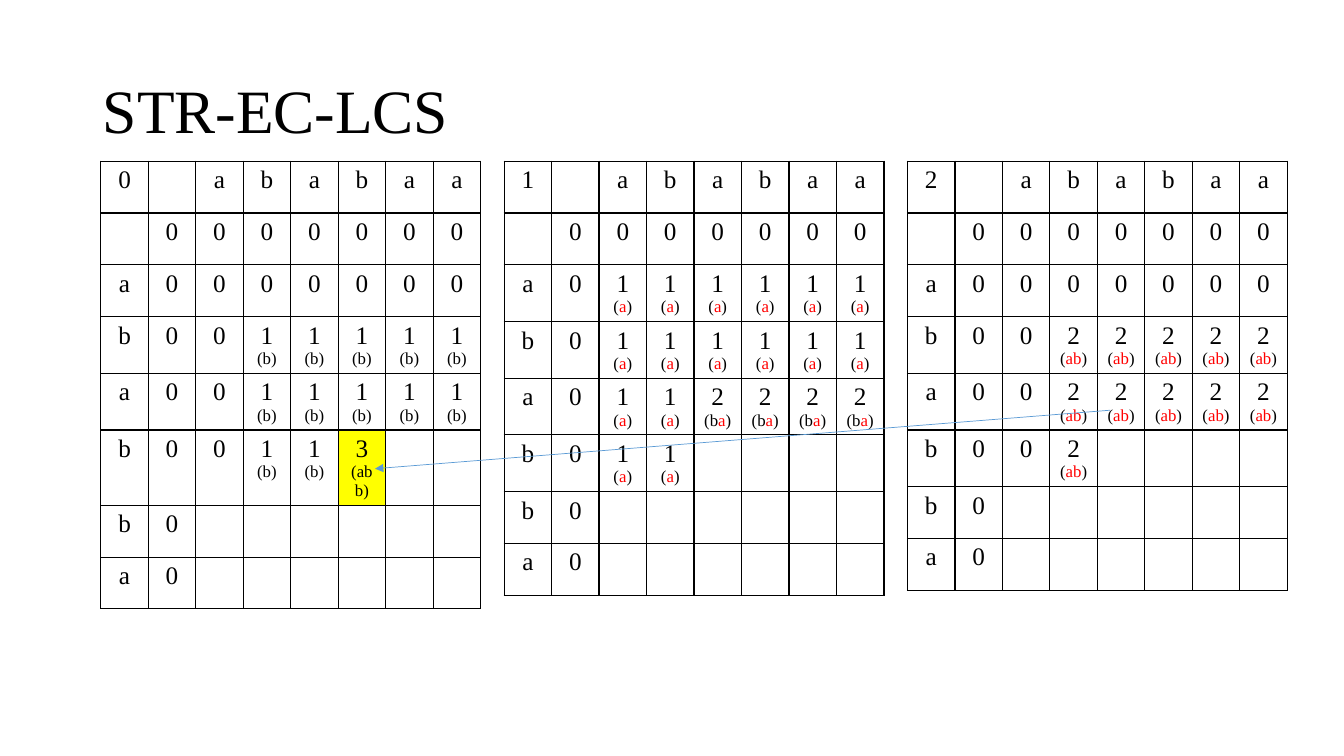
from lxml.etree import SubElement
from pptx import Presentation
from pptx.dml.color import RGBColor
from pptx.enum.shapes import MSO_CONNECTOR as Connector
from pptx.enum.text import MSO_ANCHOR as Anchor, PP_ALIGN as Align
from pptx.oxml import parse_xml
from pptx.oxml.ns import nsdecls, qn
from pptx.util import Inches, Pt

FONT = "Times New Roman"
BLACK, RED, YELLOW, BLUE = "000000", "FF0000", "FFFF00", "5B9BD5"
COLUMNS = 8
ROW_HEIGHT = Pt(37)
HEADER = ". a b a b a a"
ZEROS = ". 0 0 0 0 0 0 0"
TAIL = ["b 0", "a 0"]
# Cell code: score:plain|red, with a dot for an empty cell.
LAYERS = [
    ["0 " + HEADER, ZEROS, "a 0 0 0 0 0 0 0",
     "b 0 0 1:b 1:b 1:b 1:b 1:b",
     "a 0 0 1:b 1:b 1:b 1:b 1:b",
     "b 0 0 1:b 1:b 3:abb"] + TAIL,
    ["1 " + HEADER, ZEROS,
     "a 0 1:|a 1:|a 1:|a 1:|a 1:|a 1:|a",
     "b 0 1:|a 1:|a 1:|a 1:|a 1:|a 1:|a",
     "a 0 1:|a 1:|a 2:b|a 2:b|a 2:b|a 2:b|a",
     "b 0 1:|a 1:|a"] + TAIL,
    ["2 " + HEADER, ZEROS, "a 0 0 0 0 0 0 0",
     "b 0 0 2:|ab 2:|ab 2:|ab 2:|ab 2:|ab",
     "a 0 0 2:|ab 2:|ab 2:|ab 2:|ab 2:|ab",
     "b 0 0 2:|ab"] + TAIL,
]


def color(value):
    return RGBColor.from_string(value)


def format_paragraph(paragraph, size, align=Align.CENTER):
    paragraph.alignment = align
    paragraph.font.name = FONT
    paragraph.font.size = Pt(size)
    paragraph.font.bold = False
    paragraph.font.color.rgb = color(BLACK)


def add_title(slide, left, top, width, height):
    title = slide.shapes.title
    title.left, title.top, title.width, title.height = left, top, width, height
    title.text_frame.text = "STR-EC-LCS"
    title.text_frame.vertical_anchor = Anchor.MIDDLE
    paragraph = title.text_frame.paragraphs[0]
    paragraph.line_spacing = 0.9
    format_paragraph(paragraph, 44, Align.LEFT)


def add_borders(cell):
    properties = cell._tc.get_or_add_tcPr()
    for side in "LRTB":
        properties.append(parse_xml(
            f'<a:ln{side} {nsdecls("a")} w="12700"><a:solidFill>'
            f'<a:srgbClr val="{BLACK}"/></a:solidFill></a:ln{side}>'))


def fill_cell(cell, code):
    add_borders(cell)
    score, _, subsequence = code.partition(":")
    if subsequence == "abb":
        cell.fill.solid()
        cell.fill.fore_color.rgb = color(YELLOW)
    else:
        cell.fill.background()
    paragraph = cell.text_frame.paragraphs[0]
    format_paragraph(paragraph, 18)
    if score != ".":
        paragraph.add_run().text = score
    if subsequence:
        plain, _, matched = subsequence.partition("|")
        paragraph = cell.text_frame.add_paragraph()
        format_paragraph(paragraph, 12)
        if matched:
            paragraph.add_run().text = "(" + plain
            run = paragraph.add_run()
            run.text = matched
            run.font.color.rgb = color(RED)
            paragraph.add_run().text = ")"
        else:
            paragraph.add_run().text = f"({plain})"


def add_layer(slide, rows, left, top, width):
    frame = slide.shapes.add_table(
        len(rows), COLUMNS, left, top, width, ROW_HEIGHT * len(rows))
    table = frame.table
    table.first_row = table.horz_banding = False
    for column in table.columns:
        column.width = width // COLUMNS
    for row_index, row in enumerate(rows):
        table.rows[row_index].height = ROW_HEIGHT
        codes = row.split()
        codes += ["."] * (COLUMNS - len(codes))
        for column_index, code in enumerate(codes):
            fill_cell(table.cell(row_index, column_index), code)


def add_arrow(slide, start, end):
    arrow = slide.shapes.add_connector(Connector.STRAIGHT, *start, *end)
    arrow.line.width = Pt(0.5)
    arrow.line.color.rgb = color(BLUE)
    SubElement(arrow.line._get_or_add_ln(), qn("a:tailEnd"), type="triangle")
    SubElement(arrow._element.spPr, qn("a:effectLst"))


def main():
    presentation = Presentation()
    presentation.slide_width = Inches(13.33)
    presentation.slide_height = Inches(7.5)
    slide = presentation.slides.add_slide(presentation.slide_layouts[5])
    add_title(slide, Inches(0.92), Inches(0.4), Inches(11.5), Inches(1.45))
    for index, rows in enumerate(LAYERS):
        add_layer(slide, rows, Inches(1 + 4 * index), Inches(1.6), Inches(3.77))
    add_arrow(slide, (Inches(11.01), Inches(4.07)), (Inches(3.72), Inches(4.65)))
    presentation.save("out.pptx")


if __name__ == "__main__":
    main()
